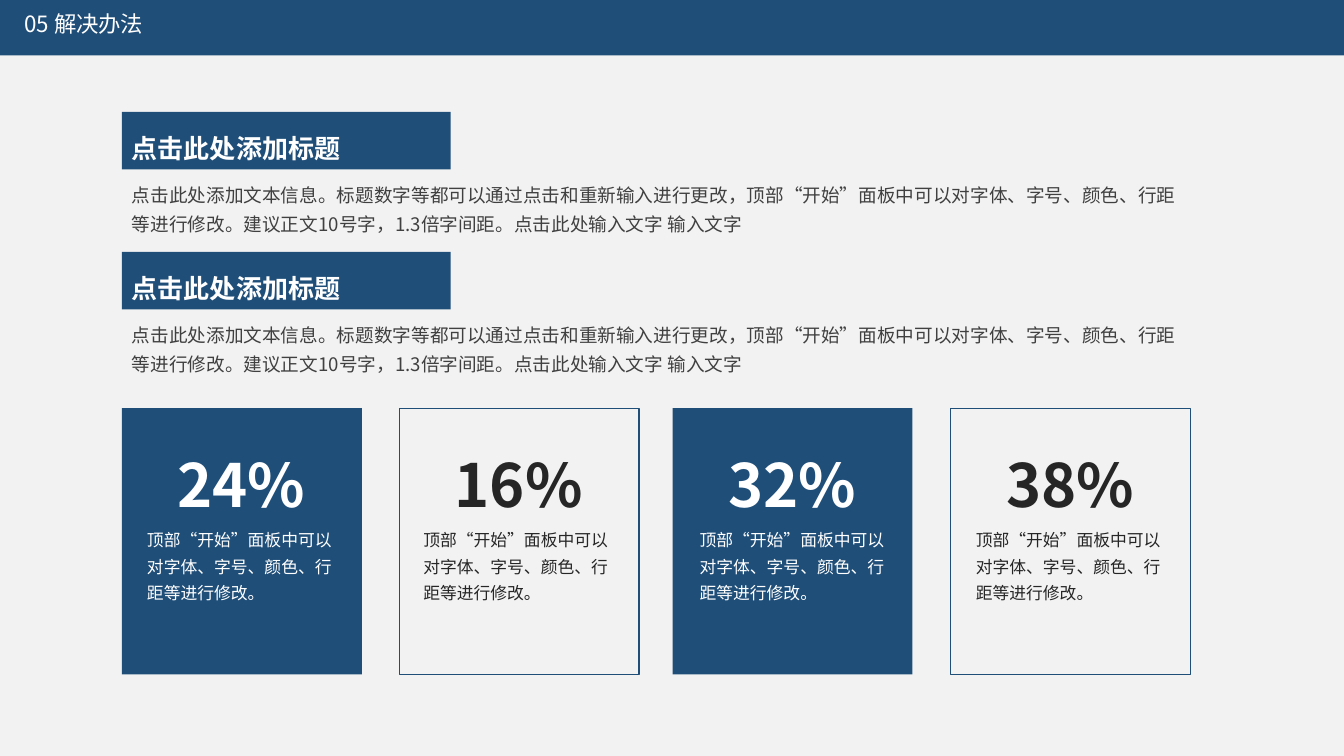
from dataclasses import dataclass

from lxml import etree
from pptx import Presentation
from pptx.dml.color import RGBColor
from pptx.enum.shapes import MSO_SHAPE
from pptx.enum.text import MSO_ANCHOR, PP_ALIGN
from pptx.oxml.ns import qn
from pptx.util import Inches, Pt

RECTANGLE = MSO_SHAPE.RECTANGLE
TOP, MIDDLE = MSO_ANCHOR.TOP, MSO_ANCHOR.MIDDLE
LEFT, CENTER = PP_ALIGN.LEFT, PP_ALIGN.CENTER


@dataclass(frozen=True)
class Theme:
    font: str = "Noto Sans CJK SC"
    navy: RGBColor = RGBColor(0x1F, 0x4E, 0x79)
    paper: RGBColor = RGBColor(0xF2, 0xF2, 0xF2)
    white: RGBColor = RGBColor(0xFF, 0xFF, 0xFF)
    gray: RGBColor = RGBColor(0x40, 0x40, 0x40)
    dark: RGBColor = RGBColor(0x26, 0x26, 0x26)
    title: float = 16
    heading: float = 18.6
    body: float = 13.3
    percent: float = 42.6
    note: float = 12


theme = Theme()


def add_box(shapes, left, top, width, height, filled=True):
    box = shapes.add_shape(RECTANGLE, Inches(left), Inches(top), Inches(width), Inches(height))
    box.shadow.inherit = False
    if filled:
        box.fill.solid()
        box.fill.fore_color.rgb = theme.navy
        box.line.fill.background()
    else:
        box.fill.background()
        box.line.color.rgb = theme.navy
        box.line.width = Pt(1)
    return box


def write(shape, text, size, color, spacing, bold=False, align=LEFT, anchor=TOP, before=0, inset=0.05):
    frame = shape.text_frame
    frame.text = text
    frame.word_wrap = True
    frame.vertical_anchor = anchor
    frame.margin_top = frame.margin_bottom = Inches(inset)
    paragraph = frame.paragraphs[0]
    paragraph.alignment = align
    paragraph.line_spacing = spacing
    paragraph.space_before = Pt(before)
    font = paragraph.runs[0].font
    font.size, font.bold, font.name = Pt(size), bold, theme.font
    font.color.rgb = color
    # East Asian typeface follows the Latin one
    latin = font._element.find(qn("a:latin"))
    east_asian = etree.Element(qn("a:ea"), typeface=theme.font)
    latin.addnext(east_asian)


prs = Presentation()
prs.slide_width, prs.slide_height = Inches(13.33), Inches(7.5)
slide = prs.slides.add_slide(prs.slide_layouts[5])
slide.background.fill.solid()
slide.background.fill.fore_color.rgb = theme.paper

# Header bar, placed behind the title
header = add_box(slide.shapes, 0, 0, 13.33, 0.55)
title = slide.shapes.title
title._element.addprevious(header._element)
title.left, title.top, title.width, title.height = Inches(0.14), Inches(0.09), Inches(13.07), Inches(0.33)
write(title, "05 解决办法", theme.title, theme.white, 0.9, anchor=MIDDLE, inset=0)

# Two headed paragraphs
explanation = (
    "点击此处添加文本信息。标题数字等都可以通过点击和重新输入进行更改，"
    "顶部“开始”面板中可以对字体、字号、颜色、行距等进行修改。"
    "建议正文10号字，1.3倍字间距。点击此处输入文字 输入文字"
)
for section_top in (1.11, 2.5):
    heading = add_box(slide.shapes, 1.21, section_top, 3.26, 0.57)
    write(heading, "点击此处添加标题", theme.heading, theme.white, 1.5, bold=True, anchor=MIDDLE)
    body = slide.shapes.add_textbox(Inches(1.21), Inches(section_top + 0.6), Inches(10.62), Inches(0.66))
    write(body, explanation, theme.body, theme.gray, 1.3)

# Four percentage cards, alternately filled and outlined
cards = [("24%", 1.21), ("16%", 3.96), ("32%", 6.67), ("38%", 9.43)]
for index, (share, card_left) in enumerate(cards):
    filled = index % 2 == 0
    color = theme.white if filled else theme.dark
    card = slide.shapes.add_group_shape()
    add_box(card.shapes, card_left, 4.05, 2.38, 2.64, filled)
    percent = card.shapes.add_textbox(Inches(card_left + 0.15), Inches(4.18), Inches(2.07), Inches(1.03))
    write(percent, share, theme.percent, color, 1.3, bold=True, align=CENTER, before=8)
    note = card.shapes.add_textbox(Inches(1.36 + 2.74 * index), Inches(5.15), Inches(2.07), Inches(0.89))
    write(note, "顶部“开始”面板中可以对字体、字号、颜色、行距等进行修改。", theme.note, color, 1.3)

prs.save("out.pptx")
